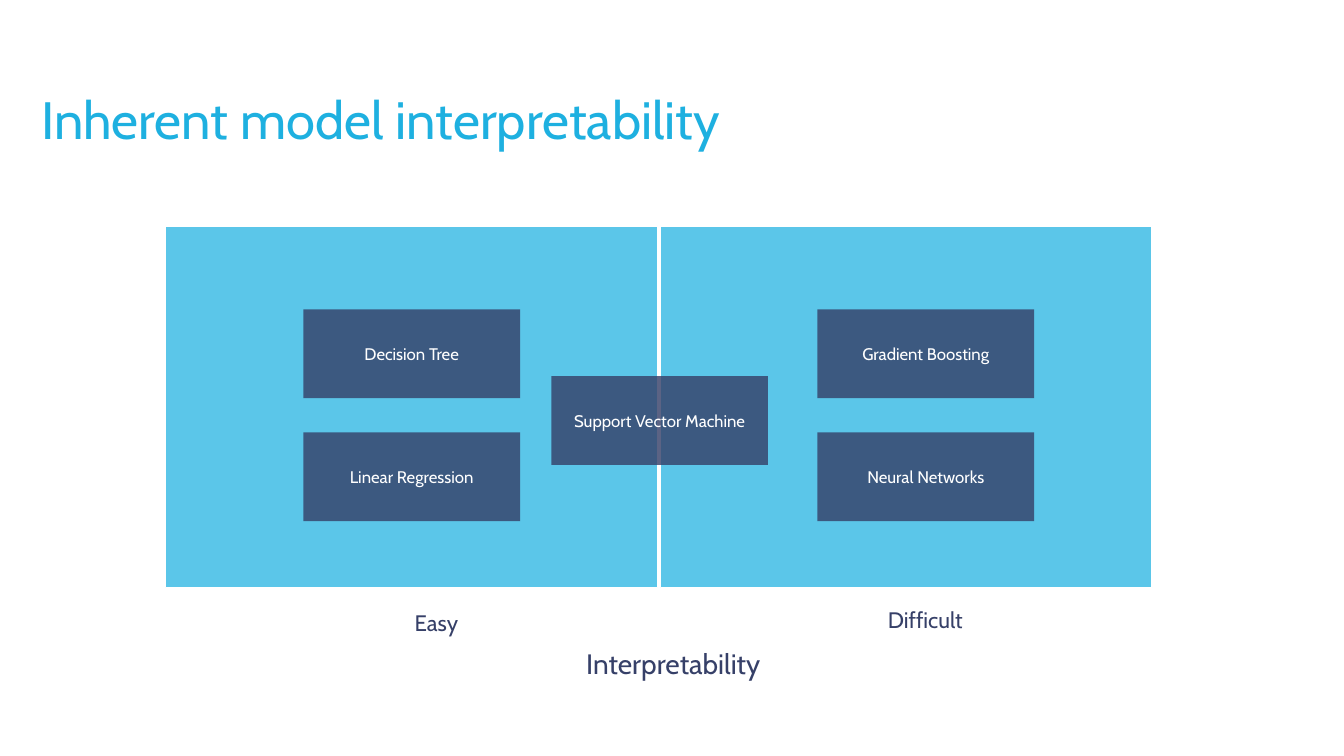
import pptx
import pptx.util
import pptx.dml.color
import pptx.enum.shapes
import pptx.enum.text
import pptx.oxml
import pptx.oxml.ns
from lxml import etree

Pt = pptx.util.Pt
RGB = pptx.dml.color.RGBColor
ANCHOR = pptx.enum.text.MSO_ANCHOR
SKY = RGB(0x1D, 0xB1, 0xE1)
TITLE = RGB(0x1E, 0xB0, 0xE0)
NAVY = RGB(0x36, 0x40, 0x68)
WHITE = RGB(0xFF, 0xFF, 0xFF)
FONT = "Cabin"
CARD_W, CARD_H, CARD_STEP = 154.8, 63.4, 87.8


def write(shape, text, size, color, anchor=ANCHOR.MIDDLE):
    """Put one centred line of text into a shape."""
    frame = shape.text_frame
    frame.word_wrap = False
    frame.vertical_anchor = anchor
    para = frame.paragraphs[0]
    para.text = text
    para.alignment = pptx.enum.text.PP_ALIGN.CENTER
    para.font.name = FONT
    para.font.size = Pt(size)
    para.font.color.rgb = color
    return frame


def label(slide, box, text, size, color=NAVY, anchor=ANCHOR.MIDDLE):
    shape = slide.shapes.add_textbox(*map(Pt, box))
    return write(shape, text, size, color, anchor)


def block(slide, box, color, alpha):
    """Draw a see-through rectangle; alpha is in percent."""
    kind = pptx.enum.shapes.MSO_SHAPE.RECTANGLE
    shape = slide.shapes.add_shape(kind, *map(Pt, box))
    shape.shadow.inherit = False
    shape.fill.solid()
    shape.fill.fore_color.rgb = color
    shape.line.fill.background()
    tone = shape.fill._xPr.find(".//" + pptx.oxml.ns.qn("a:srgbClr"))
    etree.SubElement(tone, pptx.oxml.ns.qn("a:alpha"), val=str(alpha * 1000))
    return shape


def card(slide, left, top, text):
    shape = block(slide, (left, top, CARD_W, CARD_H), NAVY, 81)
    write(shape, text, 12, WHITE)


def panel(slide, box, inset, names, caption, shift):
    """Draw a panel with stacked cards and a caption below it."""
    left, top, width, height = box
    back = block(slide, box, SKY, 72)
    back.line.color.rgb = WHITE
    back.line.width = Pt(1)
    for row, name in enumerate(names):
        card(slide, left + inset, top + 59.7 + row * CARD_STEP, name)
    across, down = shift
    label(slide, (left + across, top + height + down, 76.3, 25.2), caption, 16)


def chart(slide, box):
    """Draw both panels, the card between them and the axis name."""
    left, top, width, height = box
    half = 351.4
    panel(slide, (left, top, half, height), 98.6,
          ("Decision Tree", "Linear Regression"), "Easy", (155.5, 12.2))
    panel(slide, (left + width - half, top, half, height), 112.3,
          ("Gradient Boosting", "Neural Networks"), "Difficult", (151.2, 10))
    card(slide, left + 275.7, top + 107.3, "Support Vector Machine")
    label(slide, (left + 285.8, top + height + 37.4, 154.1, 33.1),
          "Interpretability", 20)


def heading(slide, box):
    frame = label(slide, box, "Inherent model interpretability", 37.5,
                  TITLE, ANCHOR.BOTTOM)
    frame.margin_left = frame.margin_right = 0
    frame.paragraphs[0].line_spacing = Pt(36)


def main():
    deck = pptx.Presentation()
    deck.slide_width, deck.slide_height = Pt(960), Pt(540)
    slide = deck.slides.add_slide(deck.slide_layouts[6])
    chart(slide, (118.1, 161.3, 704.9, 258.5))
    heading(slide, (28.1, 47.5, 488.2, 63.4))
    deck.save("out.pptx")


if __name__ == "__main__":
    main()
